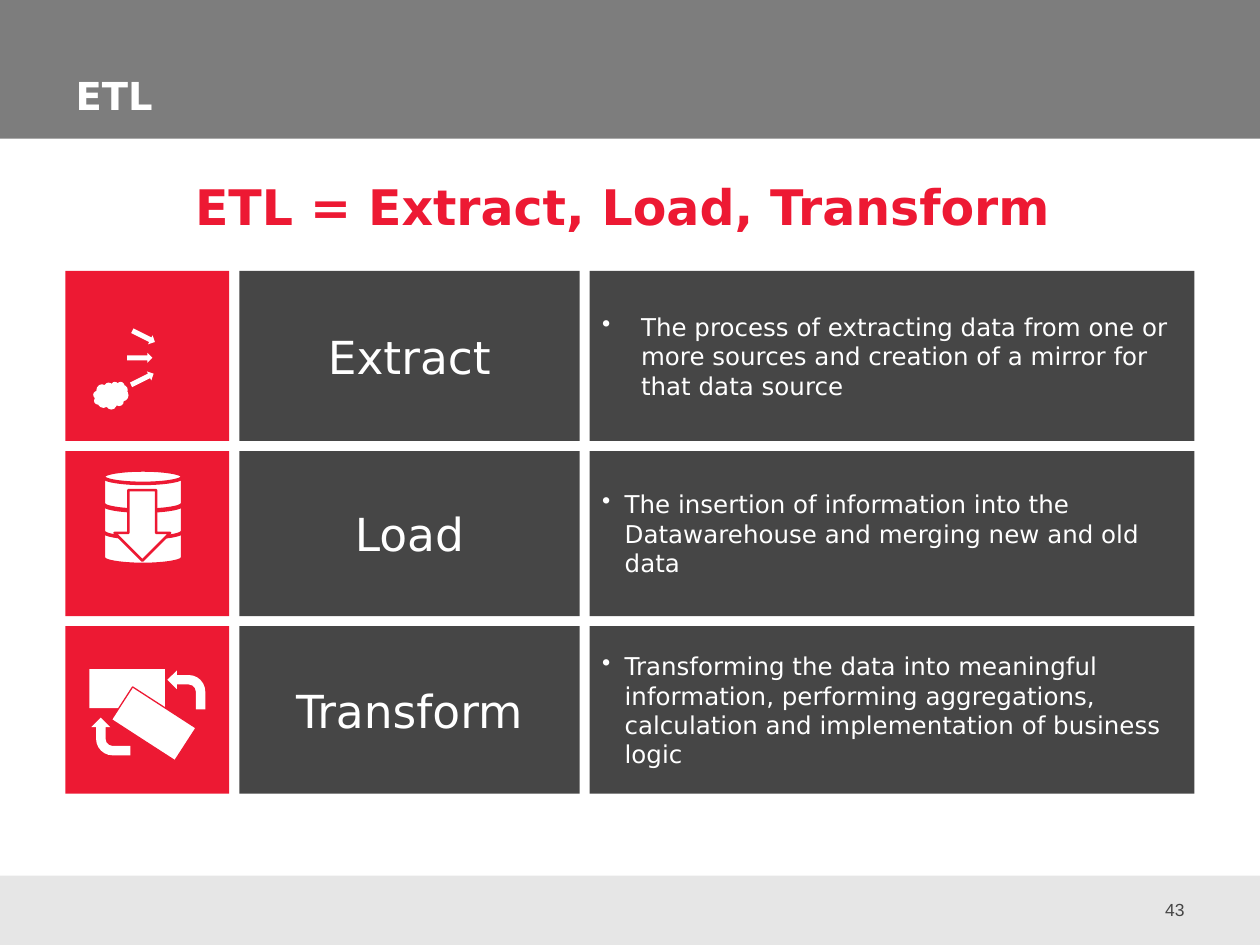
"""Build the ETL slide: one row of icon, step name and description per step."""
from dataclasses import dataclass

from lxml import etree
from pptx import Presentation
from pptx.dml.color import RGBColor
from pptx.enum.shapes import MSO_SHAPE
from pptx.enum.text import MSO_ANCHOR, PP_ALIGN
from pptx.oxml.ns import qn
from pptx.util import Inches, Pt

RECT, CLOUD, DISK = MSO_SHAPE.RECTANGLE, MSO_SHAPE.CLOUD, MSO_SHAPE.FLOWCHART_MAGNETIC_DISK
RIGHT, DOWN, BENT = MSO_SHAPE.RIGHT_ARROW, MSO_SHAPE.DOWN_ARROW, MSO_SHAPE.BENT_ARROW
TOP, MIDDLE, BOTTOM = MSO_ANCHOR.TOP, MSO_ANCHOR.MIDDLE, MSO_ANCHOR.BOTTOM
ALIGN_LEFT, ALIGN_CENTER, ALIGN_RIGHT = PP_ALIGN.LEFT, PP_ALIGN.CENTER, PP_ALIGN.RIGHT


@dataclass(frozen=True)
class Theme:
    """Colours, fonts and type sizes of the slide."""
    red: str = "ED1933"
    dark: str = "464646"
    band: str = "7D7D7D"
    footer: str = "E6E6E6"
    white: str = "FFFFFF"
    font: str = "DejaVu Sans"
    number_font: str = "Arial"
    headline: int = 28
    step: int = 26
    title: int = 22
    body: int = 14
    number: int = 10


THEME = Theme()
WIDTH, HEIGHT = 10, 7.5
BAND_HEIGHT, FOOTER_HEIGHT = 1.1, 0.55
GRID_LEFT, GRID_TOP, GAP = 0.52, 2.15, 0.08
COLUMNS = (1.3, 2.7, 4.8)

TITLE = "ETL"
HEADLINE = "ETL = Extract, Load, Transform"
PAGE_NUMBER = "43"

EXTRACT_ICON = [
    dict(kind=CLOUD, at=(0.22, 0.88, 0.28, 0.22)),
    dict(kind=RIGHT, at=(0.52, 0.48, 0.2, 0.08), turn=26.6),
    dict(kind=RIGHT, at=(0.49, 0.65, 0.2, 0.08)),
    dict(kind=RIGHT, at=(0.51, 0.82, 0.2, 0.08), turn=333.7),
]
LOAD_ICON = [
    dict(kind=DISK, at=(0.3, top, 0.63, 0.32), outline=2) for top in (0.58, 0.37, 0.15)
] + [dict(kind=DOWN, at=(0.39, 0.31, 0.44, 0.56), outline=1.5)]
TRANSFORM_ICON = [
    dict(kind=RECT, at=(0.19, 0.34, 0.6, 0.31)),
    dict(kind=RECT, at=(0.4, 0.62, 0.6, 0.31), turn=32.9, outline=0.75),
    dict(kind=BENT, at=(0.21, 0.72, 0.3, 0.31), turn=270),
    dict(kind=BENT, at=(0.81, 0.35, 0.3, 0.31), mirror=True),
]
STEPS = [
    dict(name="Extract", height=1.35, indent=0.31, icon=EXTRACT_ICON,
         text="The process of extracting data from one or more sources and "
              "creation of a mirror for that data source"),
    dict(name="Load", height=1.31, indent=0.18, icon=LOAD_ICON,
         text="The insertion of information into the Datawarehouse and merging "
              "new and old data"),
    dict(name="Transform", height=1.33, indent=0.18, icon=TRANSFORM_ICON,
         text="Transforming the data into meaningful information, performing "
              "aggregations, calculation and implementation of business logic"),
]


def add_block(shapes, at, fill, kind=RECT, turn=0, outline=0, mirror=False):
    """Add a flat preset shape."""
    block = shapes.add_shape(kind, *map(Inches, at))
    block.shadow.inherit = False
    block.fill.solid()
    block.fill.fore_color.rgb = RGBColor.from_string(fill)
    block.rotation = turn
    if outline:
        block.line.color.rgb = RGBColor.from_string(THEME.red)
        block.line.width = Pt(outline)
    else:
        block.line.fill.background()
    if mirror:
        block.element.spPr.find(qn("a:xfrm")).set("flipH", "1")
    return block


def write(box, text, size, color=THEME.white, font=THEME.font, bold=False,
          align=ALIGN_LEFT, anchor=MIDDLE, bullet_indent=0):
    """Write one formatted paragraph into a shape."""
    frame = box.text_frame
    frame.word_wrap = True
    frame.vertical_anchor = anchor
    para = frame.paragraphs[0]
    para.alignment = align
    if bullet_indent:
        properties = para._p.get_or_add_pPr()
        properties.set("marL", str(Inches(bullet_indent)))
        properties.set("indent", str(-Inches(bullet_indent)))
        etree.SubElement(properties, qn("a:buChar")).set("char", "•")
    span = para.add_run()
    span.text = text
    span.font.name = font
    span.font.size = Pt(size)
    span.font.bold = bold
    span.font.color.rgb = RGBColor.from_string(color)


def add_step(shapes, step, top):
    """Add one row of the grid."""
    tiles = []
    left = GRID_LEFT
    for width, fill in zip(COLUMNS, (THEME.red, THEME.dark, THEME.dark)):
        tiles.append(add_block(shapes, (left, top, width, step["height"]), fill))
        left += width + GAP
    write(tiles[1], step["name"], THEME.step, align=ALIGN_CENTER)
    write(tiles[2], step["text"], THEME.body, bullet_indent=step["indent"])
    icon = shapes.add_group_shape()
    for part in step["icon"]:
        x, y, width, height = part["at"]
        place = dict(part, at=(GRID_LEFT + x, top + y, width, height))
        add_block(icon.shapes, fill=THEME.white, **place)


def main():
    """Build and save the deck."""
    deck = Presentation()
    deck.slide_width, deck.slide_height = Inches(WIDTH), Inches(HEIGHT)
    slide = deck.slides.add_slide(deck.slide_layouts[5])
    shapes = slide.shapes

    add_block(shapes, (0, 0, WIDTH, BAND_HEIGHT), THEME.band)
    add_block(shapes, (0, HEIGHT - FOOTER_HEIGHT, WIDTH, FOOTER_HEIGHT), THEME.footer)
    number = shapes.add_textbox(*map(Inches, (9, 7.02, 0.5, 0.4)))
    write(number, PAGE_NUMBER, THEME.number, THEME.dark, THEME.number_font, align=ALIGN_RIGHT)

    top = GRID_TOP
    for step in STEPS:
        add_step(shapes, step, top)
        top += step["height"] + GAP

    headline = shapes.add_textbox(*map(Inches, (1.45, 1.35, 7.22, 0.57)))
    write(headline, HEADLINE, THEME.headline, THEME.red, bold=True, anchor=TOP)

    title = shapes.title
    title.left, title.top, title.width, title.height = map(Inches, (0.5, 0.37, 8.88, 0.62))
    write(title, TITLE, THEME.title, bold=True, anchor=BOTTOM)
    title.element.getparent().append(title.element)

    deck.save("out.pptx")


if __name__ == "__main__":
    main()
